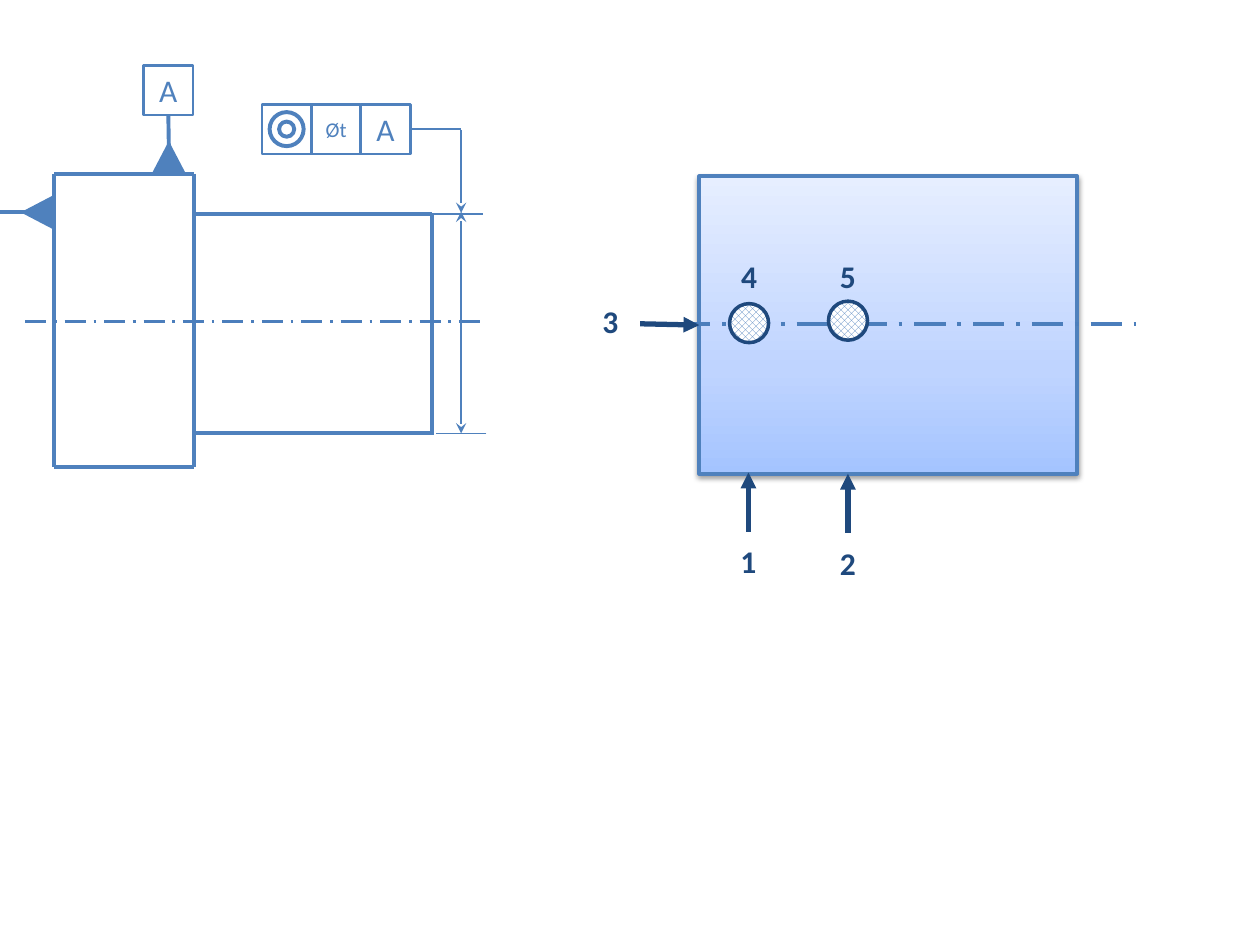
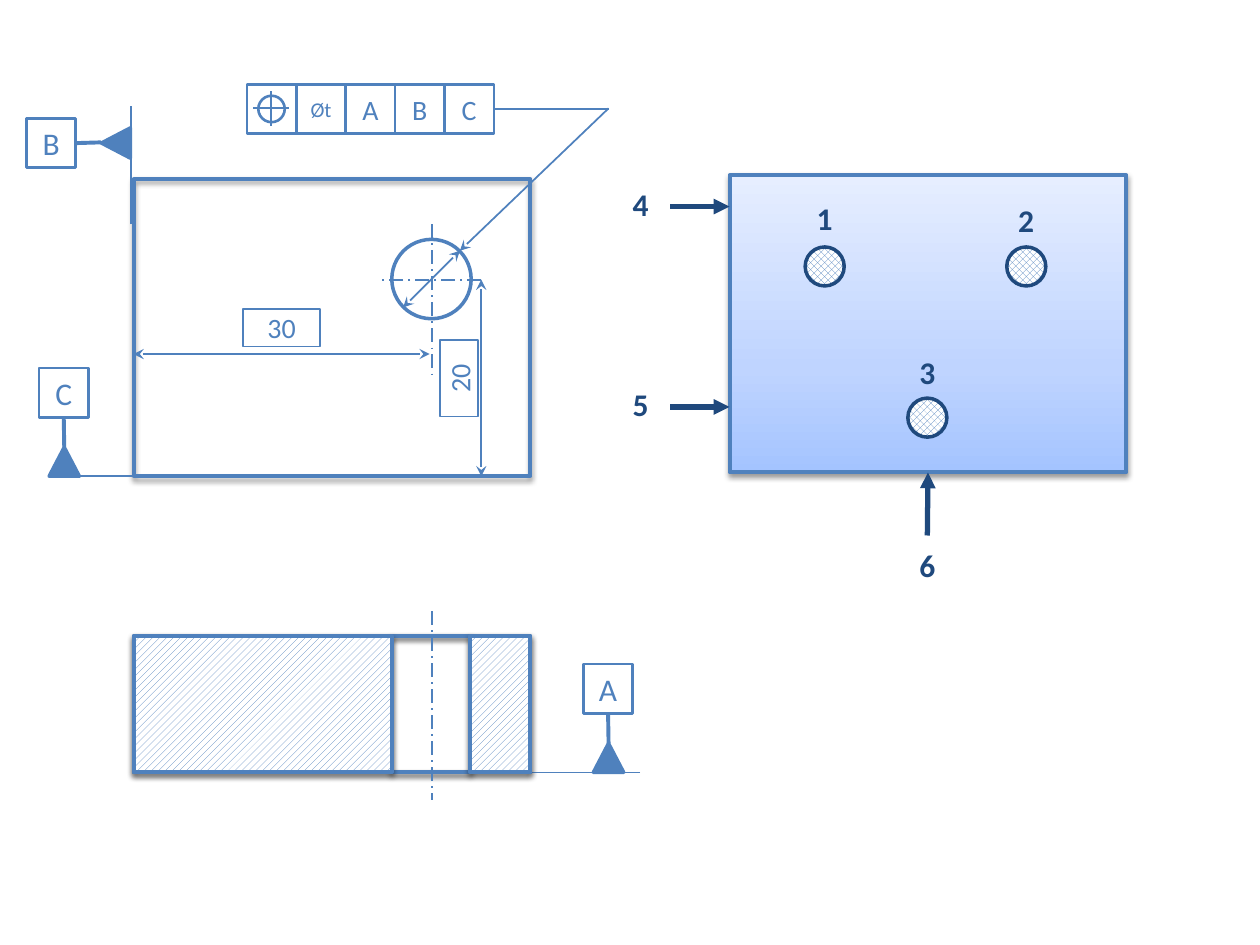
from copy import deepcopy

from lxml import etree
from pptx import Presentation
from pptx.dml.color import RGBColor
from pptx.enum.dml import MSO_LINE, MSO_PATTERN
from pptx.enum.shapes import MSO_CONNECTOR, MSO_SHAPE
from pptx.enum.text import MSO_ANCHOR, MSO_AUTO_SIZE, PP_ALIGN
from pptx.oxml.ns import qn
from pptx.util import Inches, Pt

RECTANGLE, OVAL, TRIANGLE = MSO_SHAPE.RECTANGLE, MSO_SHAPE.OVAL, MSO_SHAPE.ISOSCELES_TRIANGLE
DIAMONDS, HATCHING = MSO_PATTERN.OUTLINED_DIAMOND, MSO_PATTERN.WIDE_UPWARD_DIAGONAL
CENTRE_LINE = MSO_LINE.LONG_DASH_DOT
STRAIGHT = MSO_CONNECTOR.STRAIGHT
TOP, LEFT, BOTTOM, RIGHT = range(4)

FONT = "Calibri"
STEEL, AXIS, NAVY = "4F81BD", "4B7EBC", "1F497D"
WHITE, BLACK = "FFFFFF", "000000"
PLATE_STOPS = [(0, "A4C4FF"), (0.35, "BFD4FF"), (1, "E6EEFF")]

presentation = Presentation()
presentation.slide_width, presentation.slide_height = Inches(10), Inches(7.5)
# All positions count grid units: 100 columns across, 75 rows down.
UNIT = presentation.slide_width // 100
CELL = 3.92
TRIANGLE_WIDTH, TRIANGLE_HEIGHT = 2.4, 2.3
PIN = 3.1
ARROW = 4.7
LABEL_WIDTH, LABEL_HEIGHT = 4.7, 4


def add_box(shapes, kind, left, top, width, height, weight=2.25, color=STEEL,
            text="", size=18, fill=None, pattern=None, shadow=False):
    """Add a preset shape, or a bold text label when kind is None."""
    bounds = [round(length * UNIT) for length in (left, top, width, height)]
    if kind is None:
        shape = shapes.add_textbox(*bounds)
        shape.text_frame.auto_size = MSO_AUTO_SIZE.SHAPE_TO_FIT_TEXT
    else:
        shape = shapes.add_shape(kind, *bounds)
        shape.line.color.rgb = RGBColor.from_string(color)
        shape.line.width = Pt(weight)
        if pattern:
            shape.fill.patterned()
            shape.fill.pattern = pattern
            shape.fill.fore_color.rgb = RGBColor.from_string(STEEL)
            shape.fill.back_color.rgb = RGBColor.from_string(WHITE)
        elif fill:
            shape.fill.solid()
            shape.fill.fore_color.rgb = RGBColor.from_string(fill)
        else:
            shape.fill.background()
        shape.shadow.inherit = False
        shape.text_frame.vertical_anchor = MSO_ANCHOR.MIDDLE
    if shadow:
        effects = shape._element.spPr.find(qn("a:effectLst"))
        outer = etree.SubElement(effects, qn("a:outerShdw"), blurRad="40000", dist="20000",
                                 dir="5400000", rotWithShape="0")
        shade = etree.SubElement(outer, qn("a:srgbClr"), val=BLACK)
        etree.SubElement(shade, qn("a:alpha"), val="38000")
    if text:
        shape.text_frame.word_wrap = True
        paragraph = shape.text_frame.paragraphs[0]
        paragraph.text = text
        paragraph.alignment = PP_ALIGN.CENTER
        font = paragraph.runs[0].font
        font.name, font.size, font.bold = FONT, Pt(size), kind is None
        font.color.rgb = RGBColor.from_string(color)
    return shape


def add_line(shapes, start_x, start_y, end_x, end_y, weight=1, dash=None,
             head=None, tail=None, color=STEEL):
    ends = [round(length * UNIT) for length in (start_x, start_y, end_x, end_y)]
    line = shapes.add_connector(STRAIGHT, *ends)
    line.line.color.rgb = RGBColor.from_string(color)
    line.line.width = Pt(weight)
    if dash:
        line.line.dash_style = dash
    for tag, arrowhead in (("a:headEnd", head), ("a:tailEnd", tail)):
        if arrowhead:
            etree.SubElement(line.get_or_add_ln(), qn(tag), type=arrowhead)
    etree.SubElement(line._element.spPr, qn("a:effectLst"))
    return line


# Datums: letter, left, top. Frames: left, top, cells, size, leader end.
# Arrows: label, tip x, tip y, plate side, is at the middle. Pins: label, centre x, y, label top.
views = [
    {
        "plate": (55.5, 14, 30, 23.6),
        "axes": [(53.9, 25.7, 90.2, 25.7, 2.25, CENTRE_LINE, None, None, AXIS)],
        "datums": [("A", 11.4, 5.2)],
        "frame": (20.8, 8.3, ["", "Øt", "A"], 18, 36.6),
        "arrows": [("1", 59.4, 37.5, BOTTOM, False), ("2", 67.3, 37.6, BOTTOM, False),
                   ("3", 55.5, 25.7, LEFT, True)],
        "pins": [("4", 59.45, 25.65, 19.9), ("5", 67.3, 25.45, 19.9)],
    },
    {
        "plate": (57.9, 13.9, 31.5, 23.6),
        "axes": [],
        "datums": [("A", 46.3, 52.7), ("C", 3.1, 29.2)],
        "frame": (19.6, 6.7, ["", "Øt", "A", "B", "C"], 16, 48.3),
        "arrows": [("4", 57.9, 16.4, LEFT, False), ("5", 57.9, 32.3, LEFT, False),
                   ("6", 73.6, 37.8, BOTTOM, True)],
        "pins": [("1", 65.45, 21.15, 15.3), ("2", 81.45, 21.15, 15.5), ("3", 73.6, 33.15, 27.5)],
    },
]

slides = []
for view in views:
    slide = presentation.slides.add_slide(presentation.slide_layouts[6])
    slides.append(slide)

    plate = add_box(slide.shapes, RECTANGLE, *view["plate"], shadow=True)
    plate.fill.gradient()
    plate.fill.gradient_angle = 90
    stop_list = plate._element.spPr.find(qn("a:gradFill")).find(qn("a:gsLst"))
    stop_list.append(deepcopy(stop_list[0]))
    for stop, (position, color) in zip(plate.fill.gradient_stops, PLATE_STOPS):
        stop.position = position
        stop.color.rgb = RGBColor.from_string(color)
    for axis in view["axes"]:
        add_line(slide.shapes, *axis)

    for letter, left, top in view["datums"]:
        datum = slide.shapes.add_group_shape().shapes
        triangle = add_box(datum, TRIANGLE, left + 0.8, top + 6.3, TRIANGLE_WIDTH,
                           TRIANGLE_HEIGHT, weight=2, fill=STEEL)
        letter_box = add_box(datum, RECTANGLE, left, top, CELL, CELL, weight=1.5, text=letter)
        stem = add_line(datum, left + 2, top + 6.3, left + 2, top + CELL, weight=2.25)
        stem.begin_connect(triangle, TOP)
        stem.end_connect(letter_box, BOTTOM)

    left, top, cells, size, leader_end = view["frame"]
    frame = slide.shapes.add_group_shape().shapes
    for column, text in enumerate(cells):
        cell = add_box(frame, RECTANGLE, left + column * CELL, top, CELL, CELL, weight=1.5,
                       text=text, size=12 if text == "Øt" else size)
    middle = top + CELL / 2
    leader = add_line(slide.shapes, leader_end, middle, left + len(cells) * CELL, middle)
    leader.end_connect(cell, RIGHT)

    for label, tip_x, tip_y, side, at_middle in view["arrows"]:
        locator = slide.shapes.add_group_shape().shapes
        if side == BOTTOM:
            start = (tip_x, tip_y + ARROW)
            label_place = (tip_x - LABEL_WIDTH / 2, tip_y + ARROW + 0.35)
        else:
            start = (tip_x - ARROW, tip_y)
            label_place = (tip_x - ARROW - LABEL_WIDTH, tip_y - 2.2)
        arrow = add_line(locator, *start, tip_x, tip_y, weight=3, tail="triangle", color=NAVY)
        if at_middle:
            arrow.end_connect(plate, side)
        add_box(locator, None, *label_place, LABEL_WIDTH, LABEL_HEIGHT, color=NAVY, text=label)

    for label, centre_x, centre_y, label_top in view["pins"]:
        locator = slide.shapes.add_group_shape().shapes
        add_box(locator, OVAL, centre_x - PIN / 2, centre_y - PIN / 2, PIN, PIN, weight=2,
                color=NAVY, pattern=DIAMONDS)
        add_box(locator, None, centre_x - LABEL_WIDTH / 2, label_top, LABEL_WIDTH, LABEL_HEIGHT,
                color=NAVY, text=label)

# Slide 1: stepped shaft with a concentricity tolerance
shapes = slides[0].shapes
shaft_edges = [
    (4.3, 13.8, 4.3, 37.1), (15.4, 13.8, 15.4, 37.1),
    (4.3, 13.8, 15.4, 13.8), (4.3, 37.1, 15.4, 37.1),
    (34.3, 17, 34.3, 34.5), (15.4, 17, 34.3, 17), (15.4, 34.4, 34.3, 34.4),
]
for edge in shaft_edges:
    add_line(shapes, *edge, weight=2.25)
add_line(shapes, 2, 25.5, 38.2, 25.5, 1.5, CENTRE_LINE, color=AXIS)
side_triangle = add_box(shapes, TRIANGLE, 1.9, 15.7, TRIANGLE_WIDTH, TRIANGLE_HEIGHT,
                        weight=2, fill=STEEL)
side_triangle.rotation = 270
add_line(shapes, 0, 16.8, 2, 16.8, weight=2.25)
add_line(shapes, 36.6, 34.4, 36.6, 16.8, head="stealth", tail="stealth")
add_line(shapes, 36.6, 16.9, 36.6, 10.3, head="stealth")
add_line(shapes, 38.3, 17, 34.3, 17)
add_line(shapes, 38.6, 34.4, 34.6, 34.4)
for diameter in (1.2, 2.7):
    add_box(shapes, OVAL, 22.75 - diameter / 2, 10.25 - diameter / 2, diameter, diameter)

# Slide 2: drilled block with a position tolerance
shapes = slides[1].shapes
block_left, block_width, hole_left, hole_width = 10.6, 31.5, 31.1, 6.3
section_top, section_height = 50.5, 10.8
add_box(shapes, RECTANGLE, block_left, 14.2, block_width, 23.6, shadow=True)
add_box(shapes, RECTANGLE, block_left, section_top, block_width, section_height, shadow=True)
add_box(shapes, RECTANGLE, hole_left, section_top, hole_width, section_height, shadow=True)
add_box(shapes, OVAL, hole_left, 19, hole_width, hole_width, weight=2)

datum_b = shapes.add_group_shape().shapes
side_triangle = add_box(datum_b, TRIANGLE, 8, 10.2, TRIANGLE_WIDTH, TRIANGLE_HEIGHT,
                        weight=2, fill=STEEL)
side_triangle.rotation = 270
letter_box = add_box(datum_b, RECTANGLE, 2.1, 9.4, CELL, CELL, weight=1.5, text="B")
stem = add_line(datum_b, 6, 11.3, 8, 11.3, weight=2.25)
stem.begin_connect(letter_box, RIGHT)

for extension in [(50.8, 61.3, 42, 61.3), (13.1, 37.8, 4.3, 37.8), (10.4, 17.8, 10.4, 8.4)]:
    add_line(shapes, *extension)
for axis in [(34.3, 17.8, 34.3, 30), (38.2, 22.2, 30, 22.2), (34.3, 48.5, 34.3, 63.5)]:
    add_line(shapes, *axis, dash=CENTRE_LINE)
for dimension in [(32, 24.4, 36.5, 19.9), (38.2, 37.8, 38.2, 22.2), (10.6, 28.1, 34.1, 28.1)]:
    add_line(shapes, *dimension, head="stealth", tail="stealth")
add_line(shapes, 36.5, 19.9, 48.3, 8.6, head="stealth")

add_box(shapes, OVAL, 20.5, 7.6, 2.1, 2.1, weight=1.5)
for cross_line in [(21.5, 10, 21.5, 7.2), (20.1, 8.6, 22.9, 8.6)]:
    add_line(shapes, *cross_line)
for text, left, top, rotation in [("30", 19.3, 24.5, 0), ("20", 33.4, 28.5, 270)]:
    dimension_box = add_box(shapes, RECTANGLE, left, top, 6.1, 3, weight=1, text=text, size=16)
    dimension_box.rotation = rotation
for left, width in [(block_left, 20.5), (37.3, 4.8)]:
    add_box(shapes, RECTANGLE, left, section_top, width, section_height,
            pattern=HATCHING, shadow=True)

presentation.save("out.pptx")
